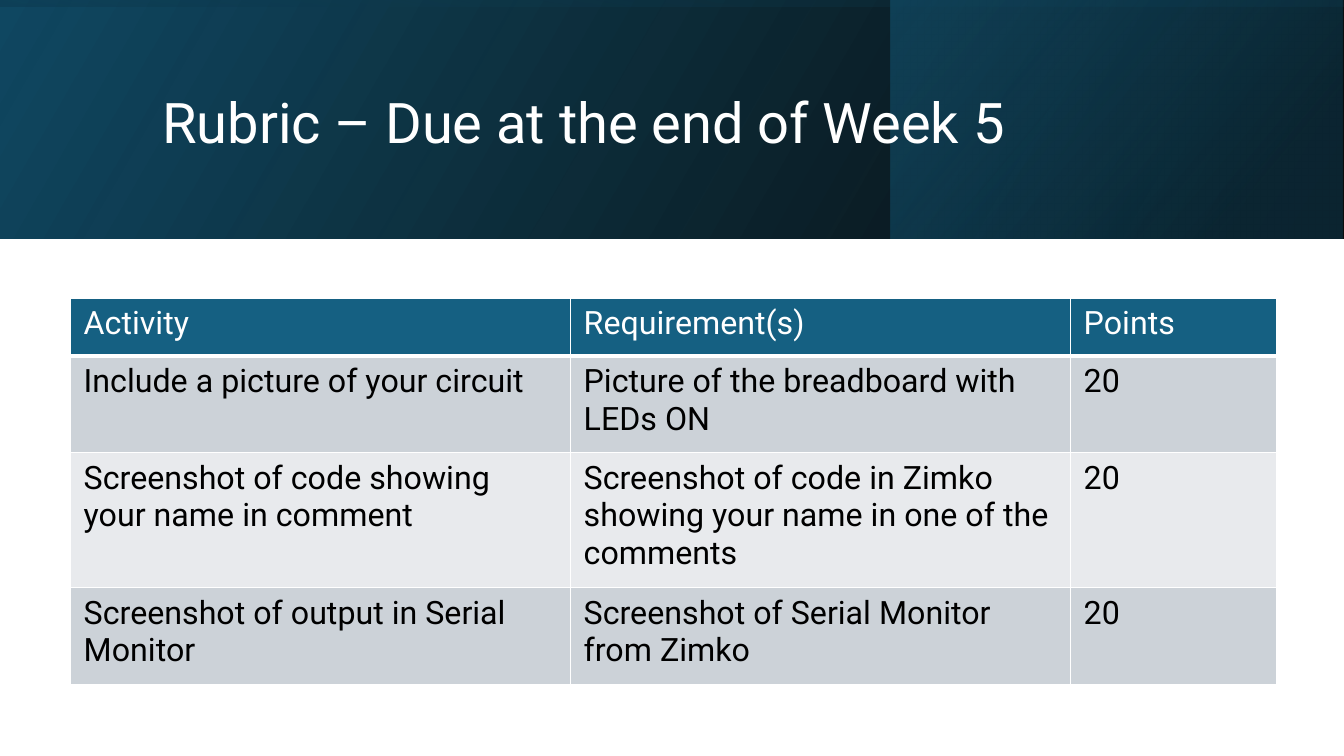
from dataclasses import dataclass

from lxml.etree import SubElement as Sub
from pptx import Presentation
from pptx.dml.color import RGBColor as Rgb
from pptx.enum.shapes import MSO_SHAPE as Kind
from pptx.enum.text import MSO_ANCHOR as Anchor, MSO_AUTO_SIZE as Fit, PP_ALIGN as Align
from pptx.oxml.ns import qn
from pptx.slide import Slide
from pptx.table import _Cell as Cell
from pptx.util import Cm, Pt

HEX = {
    "white": "FFFFFF",
    "black": "000000",
    "navy": "104862",
    "deep": "0B3041",
    "teal": "156082",
    "grey": "CCD2D8",
    "pale": "E8EAED",
}
WIDE, TALL, BAND = 33.87, 19.05, 6.02


@dataclass
class Stop:
    place: float
    color: str
    alpha: int


@dataclass
class Panel:
    box: tuple[float, float, float, float]
    angle: int
    stops: tuple[Stop, Stop]
    turn: int = 0


@dataclass
class Row:
    height: float
    fill: str
    ink: str
    texts: tuple[str, str, str]
    base: int = 1


PANELS = [
    Panel((0, 0, WIDE, BAND), 30, (Stop(0, "black", 96), Stop(1, "navy", 100))),
    Panel((22.45, 0, 11.38, BAND), 40,
          (Stop(0.19, "deep", 68), Stop(1, "teal", 48))),
    Panel(((WIDE - BAND) / 2, (BAND - WIDE) / 2, BAND, WIDE), 10,
          (Stop(0.23, "navy", 16), Stop(0.99, "black", 45)), 270),
]
COLS = (12.6, 12.6, 5.18)
ROWS = [
    Row(1.45, "teal", "white", ("Activity", "Requirement(s)", "Points"), 3),
    Row(2.44, "grey", "black", ("Include a picture of your circuit",
                                "Picture of the breadboard with LEDs ON", "20")),
    Row(3.4, "pale", "black", ("Screenshot of code showing your name in comment",
                               "Screenshot of code in Zimko showing your name in one of the comments",
                               "20")),
    Row(2.44, "grey", "black", ("Screenshot of output in Serial Monitor",
                                "Screenshot of Serial Monitor from Zimko", "20")),
]
INSET = {
    "margin_left": Cm(0.33),
    "margin_right": Cm(0.33),
    "margin_top": Cm(0.16),
    "margin_bottom": Cm(0.16),
}
TITLE = {
    "left": Cm(3.84),
    "top": Cm(0.97),
    "width": Cm(27),
    "height": Cm(4.37),
}
FRAME = {
    "word_wrap": True,
    "auto_size": Fit.NONE,
    "vertical_anchor": Anchor.MIDDLE,
}


def tint(name: str) -> Rgb:
    return Rgb.from_string(HEX[name])


def apply(item: object, form: dict) -> None:
    for key, value in form.items():
        setattr(item, key, value)


def style(font: object, size: int, ink: str) -> None:
    apply(font, {"name": "Roboto", "size": Pt(size), "bold": False})
    font.color.rgb = tint(ink)


def draw_panel(slide: Slide, panel: Panel) -> None:
    shape = slide.shapes.add_shape(Kind.RECTANGLE, *map(Cm, panel.box))
    shape.rotation = panel.turn
    shape.shadow.inherit = False
    shape.line.fill.background()
    shape.fill.gradient()
    shape.fill.gradient_angle = panel.angle
    for grade, stop in zip(shape.fill.gradient_stops, panel.stops):
        grade.color.rgb = tint(stop.color)
        grade.position = stop.place
    props = shape._element.spPr
    props.find(qn("a:xfrm")).set("flipH", "1")
    for color, stop in zip(props.iter(qn("a:srgbClr")), panel.stops):
        Sub(color, qn("a:alpha"), val=str(stop.alpha * 1000))


def draw_edges(cell: Cell, base: int) -> None:
    props = cell._tc.get_or_add_tcPr()
    for side, width in {"L": 1, "R": 1, "T": 1, "B": base}.items():
        edge = Sub(props, qn(f"a:ln{side}"), w=str(Pt(width)))
        fill = Sub(edge, qn("a:solidFill"))
        Sub(fill, qn("a:srgbClr"), val=HEX["white"])


def draw_title(slide: Slide, text: str) -> None:
    title = slide.shapes.title
    slide.shapes._spTree.append(title._element)
    apply(title, TITLE)
    apply(title.text_frame, FRAME)
    title.text_frame.text = text
    para = title.text_frame.paragraphs[0]
    apply(para, {"alignment": Align.LEFT, "line_spacing": 0.9})
    style(para.runs[0].font, 40, "white")


def draw_table(slide: Slide) -> None:
    high = sum(row.height for row in ROWS)
    sizes = map(Cm, (1.78, 7.52, sum(COLS), high))
    table = slide.shapes.add_table(len(ROWS), len(COLS), *sizes).table
    for col, width in zip(table.columns, COLS):
        col.width = Cm(width)
    for line, row in zip(table.rows, ROWS):
        line.height = Cm(row.height)
        for cell, text in zip(line.cells, row.texts):
            apply(cell, INSET)
            draw_edges(cell, row.base)
            cell.fill.solid()
            cell.fill.fore_color.rgb = tint(row.fill)
            cell.text = text
            style(cell.text_frame.paragraphs[0].runs[0].font, 23, row.ink)


def main() -> None:
    deck = Presentation()
    apply(deck, {"slide_width": Cm(WIDE), "slide_height": Cm(TALL)})
    slide = deck.slides.add_slide(deck.slide_layouts[5])
    for panel in PANELS:
        draw_panel(slide, panel)
    draw_title(slide, "Rubric – Due at the end of Week 5")
    draw_table(slide)
    deck.save("out.pptx")


if __name__ == "__main__":
    main()
